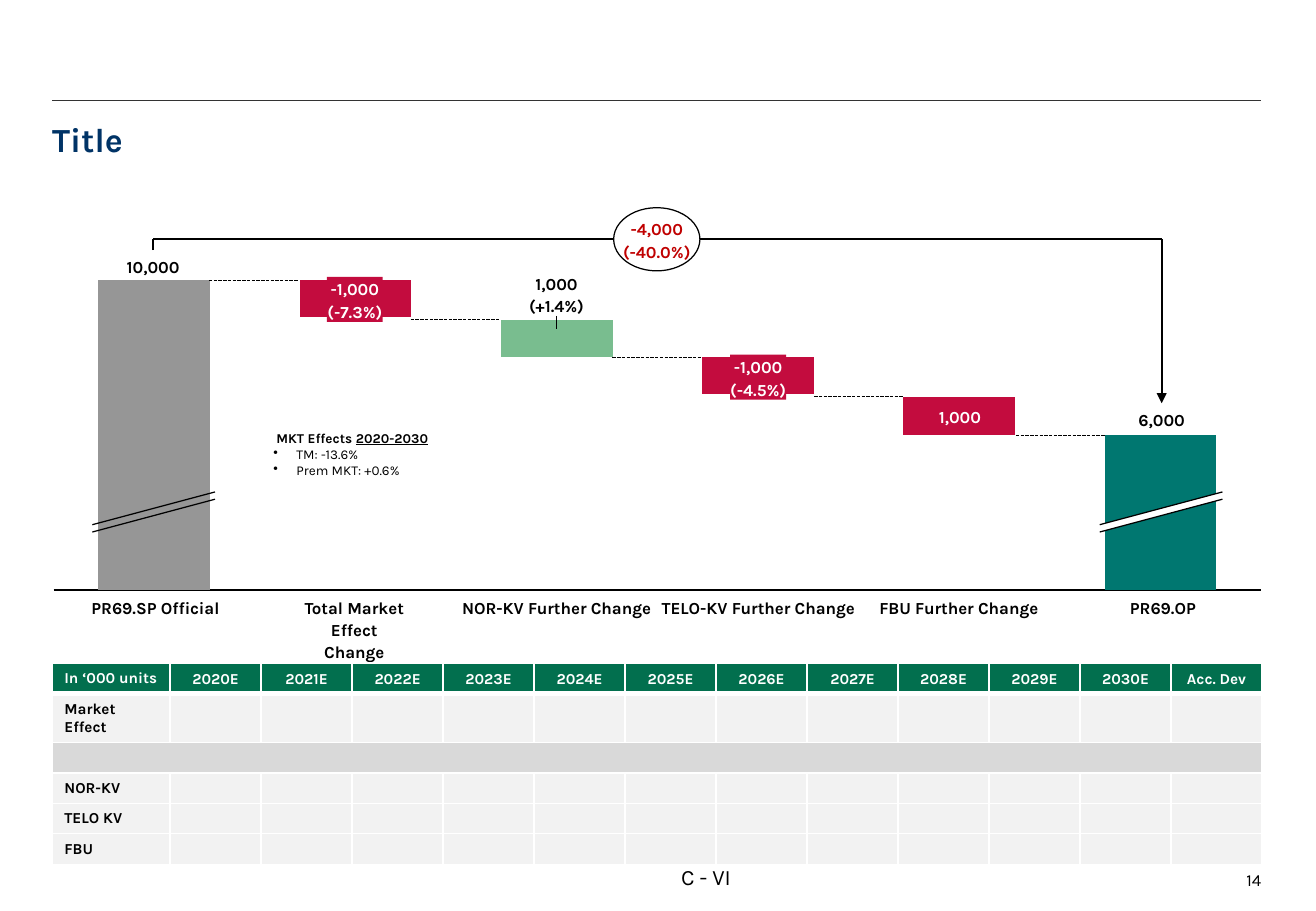
"""Build a waterfall slide with a bar chart, labels and a yearly table."""
from dataclasses import dataclass

from lxml import etree
from pptx import Presentation
from pptx.chart.data import CategoryChartData
from pptx.dml.color import RGBColor
from pptx.enum.chart import XL_CHART_TYPE, XL_TICK_LABEL_POSITION, XL_TICK_MARK
from pptx.enum.dml import MSO_LINE
from pptx.enum.shapes import MSO_CONNECTOR, MSO_SHAPE
from pptx.enum.text import MSO_ANCHOR, PP_ALIGN
from pptx.oxml.ns import qn
from pptx.util import Emu, Pt

SCALE = 9144
STACKED = XL_CHART_TYPE.COLUMN_STACKED
NO_LABELS = XL_TICK_LABEL_POSITION.NONE
NO_TICK = XL_TICK_MARK.NONE
DASH = MSO_LINE.LONG_DASH
STRAIGHT = MSO_CONNECTOR.STRAIGHT
RECT, OVAL = MSO_SHAPE.RECTANGLE, MSO_SHAPE.OVAL
TOP, MIDDLE, BOTTOM = MSO_ANCHOR.TOP, MSO_ANCHOR.MIDDLE, MSO_ANCHOR.BOTTOM
LEFT, CENTER, RIGHT = PP_ALIGN.LEFT, PP_ALIGN.CENTER, PP_ALIGN.RIGHT


@dataclass(frozen=True)
class Theme:
    font: str = "Karla"
    black: str = "000000"
    white: str = "FFFFFF"
    rule: str = "333333"
    navy: str = "003366"
    alert: str = "C00000"
    grey: str = "969696"
    teal: str = "007770"
    red: str = "C30C3E"
    mint: str = "79BD8F"
    head: str = "026F4E"
    pale: str = "F2F2F2"
    band: str = "D9D9D9"
    title: float = 20
    foot: float = 13
    body: float = 10
    cell: float = 9
    note: float = 8


THEME = Theme()


@dataclass(frozen=True)
class Label:
    text: str
    x: int
    y: int
    w: int
    h: int
    anchor: MSO_ANCHOR = TOP
    color: str = THEME.black
    size: float = THEME.body
    bold: bool = True
    align: PP_ALIGN = CENTER
    wrap: bool = False
    lead: float = 1.1
    shape: MSO_SHAPE | None = None
    fill: str = THEME.white
    edge: str = ""


@dataclass(frozen=True)
class Line:
    x1: int
    y1: int
    x2: int
    y2: int
    width: float
    color: str = THEME.black
    dash: bool = False
    arrow: bool = False


CHANGES = [
    Label("-1,000\n(-7.3%)", 269, 228, 46, 37, MIDDLE, THEME.white, shape=RECT, fill=THEME.red),
    Label("1,000\n(+1.4%)", 423, 223, 70, 37, BOTTOM),
    Label("-1,000\n(-4.5%)", 601, 292, 46, 37, MIDDLE, THEME.white, shape=RECT, fill=THEME.red),
    Label("1,000", 760, 333, 60, 18, MIDDLE, THEME.white),
    Label("10,000", 96, 210, 60, 18, BOTTOM),
    Label("6,000", 926, 336, 60, 18, BOTTOM),
    Label("-4,000\n(-40.0%)", 505, 171, 71, 52, MIDDLE, THEME.alert, shape=OVAL, edge=THEME.black),
]
NAMES = [
    Label("PR69.SP Official", 58, 490, 140, 18),
    Label("Total Market Effect Change", 249, 490, 85, 37, wrap=True),
    Label("NOR-KV Further Change", 375, 490, 166, 18),
    Label("TELO-KV Further Change", 541, 490, 166, 18),
    Label("FBU Further Change", 714, 490, 150, 18),
    Label("PR69.OP", 917, 490, 80, 18),
]
FRAME = [
    Label("Title", 43, 98, 996, 75, color=THEME.navy, size=THEME.title, align=LEFT, wrap=True, lead=1),
    Label("C - VI", 471, 712, 220, 20, MIDDLE, size=THEME.foot, bold=False, wrap=True, lead=1),
    Label("14", 958, 716, 80, 20, bold=False, align=RIGHT, wrap=True, lead=1),
]
NOTE = Label("MKT Effects 2020-2030\nTM: -13.6%\nPrem MKT: +0.6%", 225, 354, 130, 72,
             size=THEME.note, bold=False, align=LEFT, lead=1)
STEPS = [(172, 231), (338, 263), (504, 294), (670, 326), (836, 358)]
LINKS = [Line(x, y, x + 74, y, 0.25, dash=True) for x, y in STEPS]
CUTS = [Line(x, y, x + 101, y - 27, 0.75) for x in (76, 905) for y in (432, 438)]
SPAN = [
    Line(126, 197, 956, 197, 1),
    Line(956, 197, 956, 332, 1, arrow=True),
    Line(126, 206, 126, 197, 1),
    Line(458, 260, 458, 271, 0.5),
]
HEADS = ["In ‘000 units", *(f"{year}E" for year in range(2020, 2031)), "Acc. Dev"]
ROWS = [("Market Effect", 38), ("", 24), ("NOR-KV", 24), ("TELO KV", 24), ("FBU", 24)]


def px(count: float) -> Emu:
    """Turn px into EMU."""
    return Emu(round(count * SCALE))


def rgb(code: str) -> RGBColor:
    """Turn a hex code into a colour."""
    return RGBColor.from_string(code)


def paint(target, code: str) -> None:
    """Give a shape, point or cell a solid fill."""
    target.fill.solid()
    target.fill.fore_color.rgb = rgb(code)


def style(font, size: float, color: str, bold: bool) -> None:
    """Set the face, size, colour and weight of a font."""
    font.name, font.size, font.bold = THEME.font, Pt(size), bold
    font.color.rgb = rgb(color)


def draw_label(slide, label: Label):
    """Draw a text box or a shape with text, and return its paragraphs."""
    box = (px(label.x), px(label.y), px(label.w), px(label.h))
    if label.shape is None:
        shape = slide.shapes.add_textbox(*box)
    else:
        shape = slide.shapes.add_shape(label.shape, *box)
        shape.shadow.inherit = False
        paint(shape, label.fill)
        shape.line.fill.background()
        if label.edge:
            shape.line.color.rgb = rgb(label.edge)
            shape.line.width = Pt(0.75)
    frame = shape.text_frame
    frame.margin_left = frame.margin_right = frame.margin_top = frame.margin_bottom = 0
    frame.word_wrap, frame.vertical_anchor = label.wrap, label.anchor
    frame.text = label.text
    for para in frame.paragraphs:
        para.alignment, para.line_spacing = label.align, label.lead
        for run in para.runs:
            style(run.font, label.size, label.color, label.bold)
    return frame.paragraphs


def draw_note(slide) -> None:
    """Draw the note with its heading and two bullets."""
    head, *items = draw_label(slide, NOTE)
    head.alignment = CENTER
    first, last = head.text.rsplit(" ", 1)
    head.runs[0].text = f"{first} "
    head.add_run().text = last
    for run in head.runs:
        style(run.font, NOTE.size, NOTE.color, True)
    head.runs[1].font.underline = True
    for item in items:
        props = item._p.get_or_add_pPr()
        props.set("marL", str(px(19)))
        props.set("indent", str(px(-19)))
        etree.SubElement(props, qn("a:buChar"), char="•")


def draw_line(slide, line: Line) -> None:
    """Draw a straight line, dashed or with an arrowhead if asked."""
    shape = slide.shapes.add_connector(STRAIGHT, px(line.x1), px(line.y1), px(line.x2), px(line.y2))
    shape.line.color.rgb = rgb(line.color)
    shape.line.width = Pt(line.width)
    if line.dash:
        shape.line.dash_style = DASH
    if line.arrow:
        etree.SubElement(shape.line._get_or_add_ln(), qn("a:tailEnd"), type="triangle")
    etree.SubElement(shape._element.spPr, qn("a:effectLst"))


def draw_chart(slide) -> None:
    """Draw the stacked bars of the waterfall."""
    data = CategoryChartData()
    data.categories = ["1", "2", "3", "4", "5", "6"]
    data.add_series("Series 1", (100, 88, 75, 63, 50, 50))
    data.add_series("Series 2", (None, 12, 12, 12, 12, None))
    chart = slide.shapes.add_chart(STACKED, px(34), px(222), px(1014), px(272), data).chart
    chart.has_legend = chart.has_title = False
    style(chart.font, THEME.body, THEME.black, False)
    plot = chart.plots[0]
    plot.gap_width, plot.overlap, plot.vary_by_categories = 80, 100, False
    base, change = plot.series
    base.format.fill.background()
    paint(change.format, THEME.red)
    for series, spot, color in ((base, 0, THEME.grey), (base, 5, THEME.teal), (change, 2, THEME.mint)):
        paint(series.points[spot].format, color)
    axis = chart.category_axis
    axis.tick_label_position = NO_LABELS
    axis.major_tick_mark = axis.minor_tick_mark = NO_TICK
    axis.format.line.color.rgb = rgb(THEME.black)
    axis.format.line.width = Pt(0.75)
    scale = chart.value_axis
    scale.minimum_scale, scale.maximum_scale = 0, 100
    scale.has_major_gridlines = scale.visible = False
    area = chart._chartSpace.chart.plotArea
    for old in area.findall(qn("c:layout")):
        area.remove(old)
    layout = etree.Element(qn("c:layout"))
    area.insert(0, layout)
    manual = etree.SubElement(layout, qn("c:manualLayout"))
    places = {"layoutTarget": "inner", "xMode": "edge", "yMode": "edge",
              "x": "0.01", "y": "0.03", "w": "0.98", "h": "0.94"}
    for name, value in places.items():
        etree.SubElement(manual, qn(f"c:{name}"), val=value)


def fill_cell(cell, text: str, color: str, fill: str, edges: dict[str, int]) -> None:
    """Set the text, borders and fill of one cell."""
    cell.text, cell.vertical_anchor = text, MIDDLE
    para = cell.text_frame.paragraphs[0]
    for run in para.runs:
        style(run.font, THEME.cell, color, True)
    if not text:
        etree.SubElement(para._p, qn("a:endParaRPr"), sz=str(THEME.cell * 100))
    props = cell._tc.get_or_add_tcPr()
    for side, width in edges.items():
        edge = etree.SubElement(props, qn(f"a:ln{side}"), w=str(Pt(width)))
        solid = etree.SubElement(edge, qn("a:solidFill"))
        etree.SubElement(solid, qn("a:srgbClr"), val=THEME.white)
    paint(cell, fill)


def draw_table(slide) -> None:
    """Draw the table of units by year."""
    count = len(HEADS)
    table = slide.shapes.add_table(len(ROWS) + 1, count, px(43), px(546), px(996), px(158)).table
    table.first_row = table.horz_banding = False
    for spot, column in enumerate(table.columns):
        column.width = px((996 - 97) / (count - 1)) if spot else px(97)
    table.rows[0].height = px(24)
    for spot, text in enumerate(HEADS):
        cell = table.cell(0, spot)
        fill_cell(cell, text, THEME.white, THEME.head, {"L": 1, "R": 1, "T": 1, "B": 3})
        if spot:
            cell.margin_left = cell.margin_right = cell.margin_top = px(1)
            cell.margin_bottom = 0
            cell.text_frame.paragraphs[0].alignment = CENTER
    for row, (name, height) in enumerate(ROWS, 1):
        table.rows[row].height = px(height)
        edges = {"L": 1, "R": 1, "T": 3 if row == 1 else 1, "B": 1}
        for spot in range(count):
            text = "" if spot else name
            fill_cell(table.cell(row, spot), text, THEME.black, THEME.pale if name else THEME.band, edges)
        if not name:
            table.cell(row, 0).merge(table.cell(row, count - 1))


def draw_gap(slide) -> None:
    """Draw the white break across the last bar."""
    pen = slide.shapes.build_freeform(px(905), px(432))
    pen.add_line_segments([(px(x), px(y)) for x, y in ((1006, 405), (1006, 411), (905, 438))])
    shape = pen.convert_to_shape()
    shape.shadow.inherit = False
    paint(shape, THEME.white)
    shape.line.fill.background()


def main() -> None:
    """Build and save the slide."""
    deck = Presentation()
    deck.slide_width, deck.slide_height = px(1083), px(750)
    slide = deck.slides.add_slide(deck.slide_layouts[6])
    draw_line(slide, Line(43, 83, 1038, 83, 0.75, THEME.rule))
    draw_chart(slide)
    draw_gap(slide)
    for line in LINKS + CUTS + SPAN:
        draw_line(slide, line)
    for label in NAMES + CHANGES + FRAME:
        draw_label(slide, label)
    draw_note(slide)
    draw_table(slide)
    deck.save("out.pptx")


if __name__ == "__main__":
    main()
